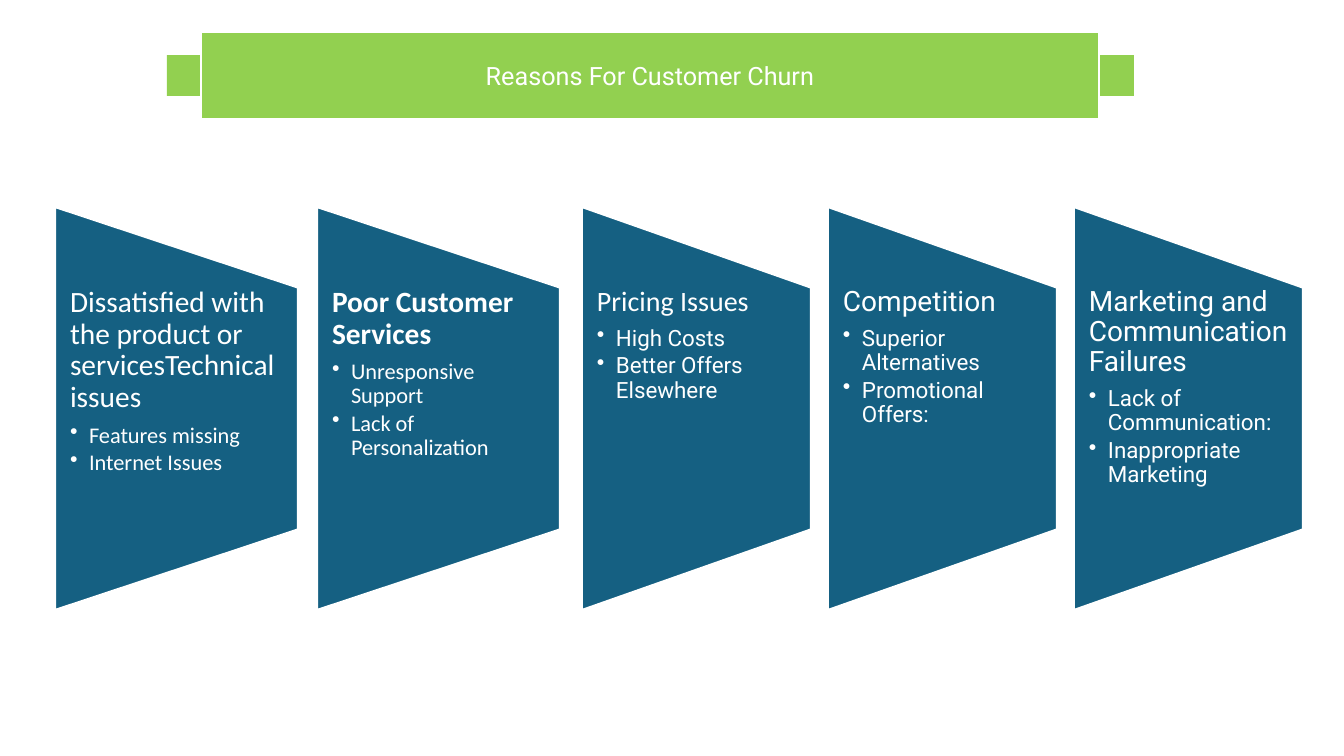
from lxml import etree
from pptx import Presentation
from pptx import util as u
from pptx.dml.color import RGBColor
from pptx.enum import shapes, text
from pptx.oxml.ns import qn

EMU_PER_PX = 914400 / 100.8
COLOURS = {"panel": "156082", "banner": "92D050", "white": "FFFFFF"}
PANEL_TOP, PANEL_HEIGHT = 207, 403
TEXT_TOP, TEXT_HEIGHT = 287, 242
BULLET_INDENT = 19

# Each family: left of first panel, pitch, panel width, heading size
WIDE = (55, 262, 243, 21)
NARROW = (582, 246, 229, 20)

WIDE_REASONS = [
    ("Dissatisfied with the product or servicesTechnical issues",
     "Calibri", False, "Calibri", ["Features missing", "Internet Issues"]),
    ("Poor Customer Services",
     "Calibri", True, "Calibri", ["Unresponsive Support", "Lack of Personalization"]),
]
NARROW_REASONS = [
    ("Pricing Issues",
     "Calibri", False, "Roboto", ["High Costs", "Better Offers Elsewhere"]),
    ("Competition",
     "Roboto", False, "Roboto", ["Superior Alternatives", "Promotional Offers:"]),
    ("Marketing and Communication Failures",
     "Roboto", False, "Roboto", ["Lack of Communication:", "Inappropriate Marketing"]),
]


def px(length):
    return u.Emu(round(length * EMU_PER_PX))


def colour(name):
    return RGBColor.from_string(COLOURS[name])


def set_all(target, values):
    for name, value in values.items():
        setattr(target, name, value)


def add_block(slide, kind, box, fill, outlined):
    block = slide.shapes.add_shape(kind, *map(px, box))
    block.shadow.inherit = False
    block.fill.solid()
    block.fill.fore_color.rgb = colour(fill)
    if outlined:
        block.line.color.rgb = colour("white")
        block.line.width = u.Pt(1.5)
    else:
        block.line.fill.background()
    return block


def write(paragraph, wording, font, size, bold=False):
    run = paragraph.add_run()
    run.text = wording
    set_all(run.font, {"name": font, "size": u.Pt(size), "bold": bold})
    run.font.color.rgb = colour("white")


def make_bullet(paragraph):
    properties = paragraph._p.get_or_add_pPr()
    properties.set("marL", str(px(BULLET_INDENT)))
    properties.set("indent", str(-px(BULLET_INDENT)))
    etree.SubElement(properties, qn("a:buChar"), char="•")


def add_panel(slide, left, width):
    """Draw a trapezoid on its side, with the long edge at the left."""
    box = (left + (width - PANEL_HEIGHT) / 2,
           PANEL_TOP + (PANEL_HEIGHT - width) / 2, PANEL_HEIGHT, width)
    panel = add_block(slide, shapes.MSO_SHAPE.FLOWCHART_MANUAL_OPERATION,
                      box, "panel", True)
    panel.rotation = 270


def add_reason(slide, left, width, heading_size, reason):
    heading, heading_font, bold, point_font, points = reason
    add_panel(slide, left, width)
    frame = slide.shapes.add_textbox(
        *map(px, (left, TEXT_TOP, width, TEXT_HEIGHT))).text_frame
    set_all(frame, {"word_wrap": True, "margin_left": px(15), "margin_right": px(14),
                    "margin_top": 0, "margin_bottom": 0})
    title = frame.paragraphs[0]
    set_all(title, {"line_spacing": 0.9, "space_after": u.Pt(7)})
    write(title, heading, heading_font, heading_size, bold)
    for point in points:
        item = frame.add_paragraph()
        make_bullet(item)
        set_all(item, {"level": 1, "line_spacing": 0.9, "space_after": u.Pt(2.4)})
        write(item, point, point_font, 16)


def add_banner(slide, title):
    rectangle = shapes.MSO_SHAPE.RECTANGLE
    add_block(slide, rectangle, (167, 55, 967, 41), "banner", False)
    banner = add_block(slide, rectangle, (201, 32, 898, 87), "banner", True)
    banner.text_frame.vertical_anchor = text.MSO_ANCHOR.MIDDLE
    heading = banner.text_frame.paragraphs[0]
    heading.alignment = text.PP_ALIGN.CENTER
    write(heading, title, "Roboto", 18)


def main():
    deck = Presentation()
    set_all(deck, {"slide_width": px(1344), "slide_height": px(756)})
    slide = deck.slides.add_slide(deck.slide_layouts[6])
    for family, reasons in ((WIDE, WIDE_REASONS), (NARROW, NARROW_REASONS)):
        first, pitch, width, heading_size = family
        for index, reason in enumerate(reasons):
            add_reason(slide, first + index * pitch, width, heading_size, reason)
    add_banner(slide, "Reasons For Customer Churn")
    deck.save("out.pptx")


if __name__ == "__main__":
    main()
